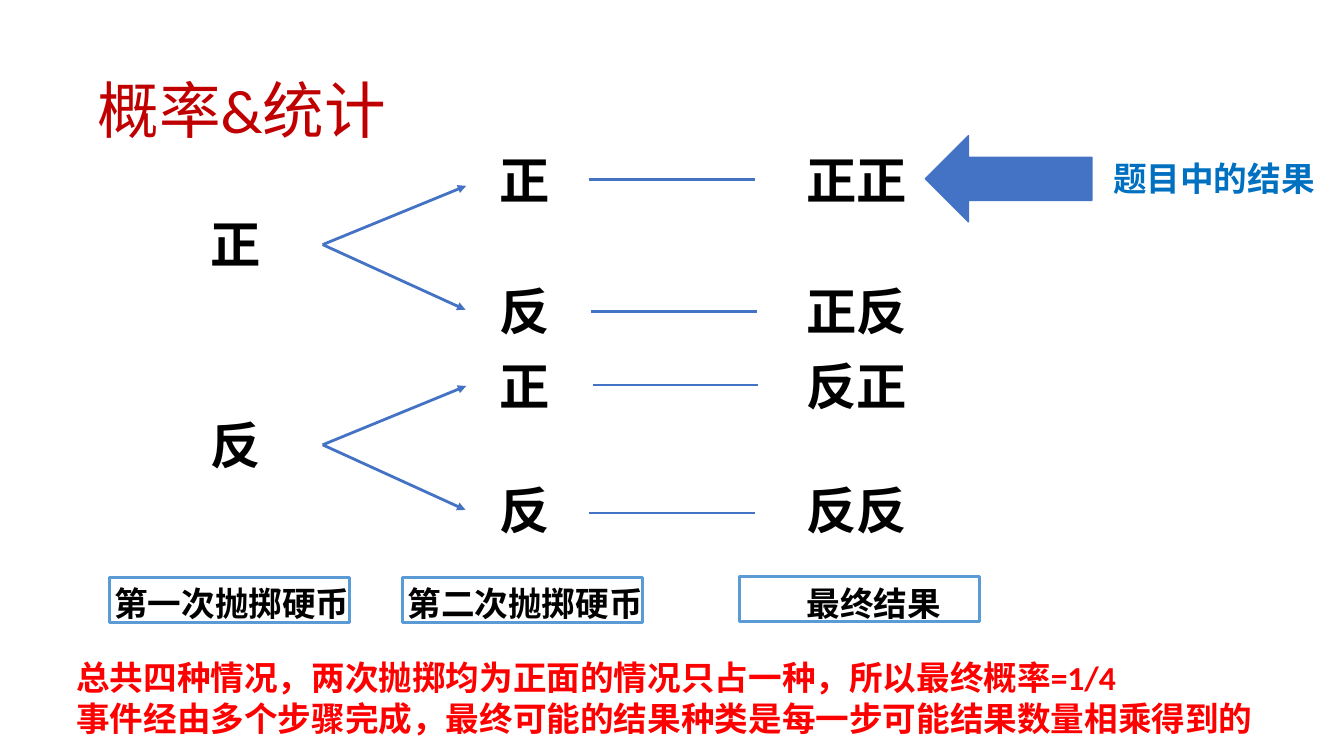
from lxml import etree
from pptx import Presentation
from pptx.dml.color import RGBColor
from pptx.enum.shapes import MSO_CONNECTOR as CONN, MSO_SHAPE as SHAPE
from pptx.enum.text import MSO_ANCHOR as ANCHOR, MSO_AUTO_SIZE as AUTO, PP_ALIGN as ALIGN
from pptx.oxml.ns import qn
from pptx.util import Pt

FONT = "Calibri"
COLORS = {
    "title": "C00000",
    "text": "000000",
    "line": "4472C4",
    "frame": "5B9BD5",
    "callout": "0070C0",
    "summary": "FF0000",
}


def rgb(name):
    return RGBColor.from_string(COLORS[name])


def write(tf, text, size=24, color="text", bold=True, spacing=None):
    tf.word_wrap = True
    tf.margin_left = tf.margin_right = Pt(3.6)
    tf.margin_top = tf.margin_bottom = Pt(3.6)
    for i, line in enumerate(text.split("\n")):
        p = tf.paragraphs[0] if i == 0 else tf.add_paragraph()
        p.alignment = ALIGN.LEFT
        p.line_spacing = spacing
        r = p.add_run()
        r.text = line
        r.font.name = FONT
        r.font.size = Pt(size)
        r.font.bold = bold
        r.font.color.rgb = rgb(color)


def add_title(slide, text):
    sp = slide.shapes.title
    sp.left, sp.top, sp.width, sp.height = Pt(66), Pt(29), Pt(828), Pt(104)
    write(sp.text_frame, text, size=44, color="title", bold=False, spacing=0.9)
    sp.text_frame.vertical_anchor = ANCHOR.MIDDLE


def add_text(slide, text, x, y, w, h, **fmt):
    sp = slide.shapes.add_textbox(Pt(x), Pt(y), Pt(w), Pt(h))
    write(sp.text_frame, text, **fmt)
    sp.text_frame.auto_size = AUTO.SHAPE_TO_FIT_TEXT


def add_face(slide, text, x, y):
    add_text(slide, text, x, y, 84, 57, size=36)


def add_line(slide, x1, y1, x2, y2, arrow=False):
    cx = slide.shapes.add_connector(CONN.STRAIGHT, Pt(x1), Pt(y1), Pt(x2), Pt(y2))
    cx.line.color.rgb = rgb("line")
    cx.line.width = Pt(2)
    if arrow:
        etree.SubElement(cx.line._get_or_add_ln(), qn("a:tailEnd"), type="triangle")
    etree.SubElement(cx._element.spPr, qn("a:effectLst"))


def add_box(slide, kind, x, y, w, h, line, width, fill=None):
    sp = slide.shapes.add_shape(kind, Pt(x), Pt(y), Pt(w), Pt(h))
    sp.shadow.inherit = False
    sp.line.color.rgb = rgb(line)
    sp.line.width = Pt(width)
    if fill:
        sp.fill.solid()
        sp.fill.fore_color.rgb = rgb(fill)
    else:
        sp.fill.background()


def add_tree(slide):
    for face, y in (("正", 149), ("反", 292)):
        add_face(slide, face, 147, y)
        start = y + 25.75
        add_line(slide, 230.5, start, 333, start - 42, arrow=True)
        add_line(slide, 230.5, start, 332.5, start + 46.5, arrow=True)

    rows = (
        ("正", "正正", 103, 420.5, 128),
        ("反", "正反", 196.5, 422, 222.5),
        ("正", "反正", 250, 423.25, 275),
        ("反", "反反", 338.5, 421, 366.5),
    )
    for second, result, y, line_x, line_y in rows:
        add_face(slide, second, 353, y)
        add_line(slide, line_x, line_y, line_x + 118.5, line_y)
        add_face(slide, result, 572.5, y)


def add_stages(slide):
    stages = (
        ("第一次抛掷硬币", 78, 78, 412.5),
        ("第二次抛掷硬币", 287.5, 287.5, 412.5),
        ("最终结果", 572.5, 528.5, 412),
    )
    for text, text_x, frame_x, frame_y in stages:
        add_text(slide, text, text_x, 412.5, 185, 40)
        add_box(slide, SHAPE.RECTANGLE, frame_x, frame_y, 171.5, 32, "frame", 2)


def main():
    prs = Presentation()
    prs.slide_width, prs.slide_height = Pt(960), Pt(540)
    slide = prs.slides.add_slide(prs.slide_layouts[5])

    add_title(slide, "概率&统计")
    add_tree(slide)
    add_stages(slide)
    add_box(slide, SHAPE.LEFT_ARROW, 661, 97, 119, 61.5, "line", 1, fill="line")
    add_text(slide, "题目中的结果", 791.5, 109.5, 163.5, 40, color="callout")
    add_text(
        slide,
        "总共四种情况，两次抛掷均为正面的情况只占一种，所以最终概率=1/4\n"
        "事件经由多个步骤完成，最终可能的结果种类是每一步可能结果数量相乘得到的",
        51, 466, 858, 73, color="summary",
    )
    prs.save("out.pptx")


if __name__ == "__main__":
    main()
